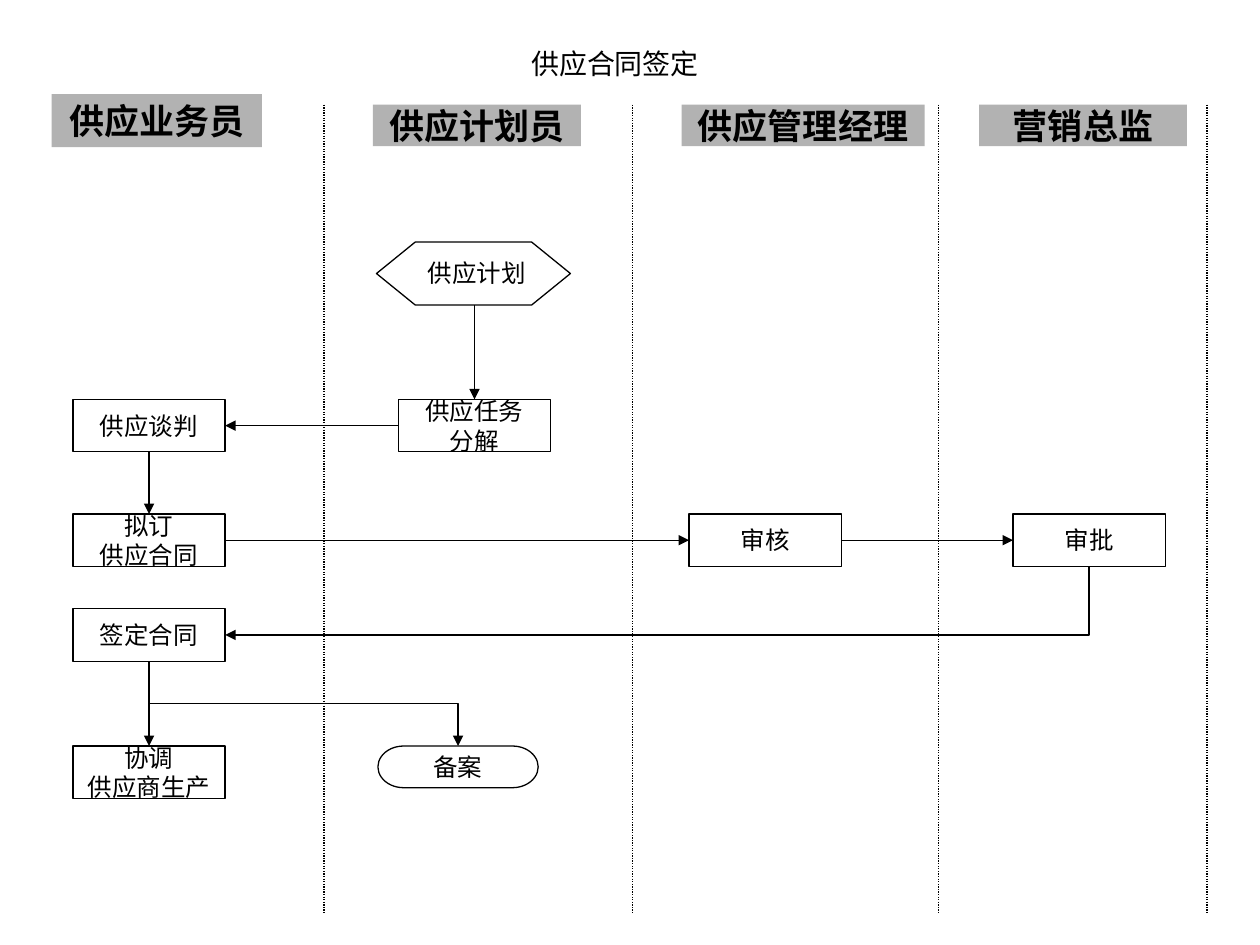
from dataclasses import dataclass

from lxml import etree
from pptx import Presentation
from pptx.dml.color import RGBColor
from pptx.enum.dml import MSO_LINE
from pptx.enum.shapes import MSO_CONNECTOR, MSO_SHAPE
from pptx.enum.text import MSO_ANCHOR, PP_ALIGN
from pptx.oxml.ns import qn
from pptx.util import Cm, Pt

RECTANGLE = MSO_SHAPE.RECTANGLE
PREPARATION = MSO_SHAPE.FLOWCHART_PREPARATION
TERMINATOR = MSO_SHAPE.FLOWCHART_TERMINATOR
STRAIGHT, ELBOW = MSO_CONNECTOR.STRAIGHT, MSO_CONNECTOR.ELBOW
DOTTED = MSO_LINE.ROUND_DOT
CENTER, MIDDLE, TOP = PP_ALIGN.CENTER, MSO_ANCHOR.MIDDLE, MSO_ANCHOR.TOP

BLACK, WHITE, GREY = "000000", "FFFFFF", "B2B2B2"
TITLE_FONT = {"name": "Times New Roman", "size": Pt(16), "bold": False}
HEADER_FONT = {**TITLE_FONT, "size": Pt(20), "bold": True}
STEP_FONT = {**TITLE_FONT, "size": Pt(14)}

STEP_WIDTH, STEP_HEIGHT = 3.07, 1.06
CLERK, PLANNER, MANAGER, DIRECTOR = 1.47, 8.03, 13.89, 20.42
LANE_TOP, LANE_BOTTOM = 2.11, 18.42
DIVIDERS = (6.53, 12.75, 18.92, 24.33)


@dataclass(frozen=True)
class Block:
    text: str
    left: float
    top: float
    width: float = STEP_WIDTH
    height: float = STEP_HEIGHT
    kind: int = RECTANGLE

    @property
    def right(self) -> float:
        return self.left + self.width

    @property
    def bottom(self) -> float:
        return self.top + self.height

    @property
    def center(self) -> float:
        return self.left + self.width / 2

    @property
    def middle(self) -> float:
        return self.top + self.height / 2


HEADERS = (
    Block("供应业务员", 1.04, 1.9, 4.24, 1.07),
    Block("供应计划员", 7.52, LANE_TOP, 4.19, 0.84),
    Block("供应管理经理", 13.74, LANE_TOP, 4.9, 0.84),
    Block("营销总监", 19.74, LANE_TOP, 4.19, 0.84),
)
PLAN = Block("", 7.59, 4.88, 3.91, 1.27, PREPARATION)
TASKS = Block("供应任务\n分解", PLANNER, 8.05)
TALKS = Block("供应谈判", CLERK, 8.05)
DRAFT = Block("拟订\n供应合同", CLERK, 10.36)
REVIEW = Block("审核", MANAGER, 10.36)
APPROVAL = Block("审批", DIRECTOR, 10.36)
SIGNING = Block("签定合同", CLERK, 12.27)
PRODUCTION = Block("协调\n供应商生产", CLERK, 15.04)
ARCHIVE = Block("备案", 7.62, 15.04, 3.23, 0.84, TERMINATOR)
STEPS = (PLAN, TASKS, TALKS, DRAFT, REVIEW, APPROVAL, SIGNING, PRODUCTION, ARCHIVE)

TITLE = Block("供应合同签定", 4.88, 0.43, 15.04, 1.7)
PLAN_LABEL = Block("供应计划", 7.24, 5.08, 4.75, 0.86)


def color(value: str) -> RGBColor:
    return RGBColor.from_string(value)


def write(box, text: str, font: dict, anchor, wrap: bool) -> None:
    frame = box.text_frame
    frame.text = text
    frame.word_wrap = wrap
    frame.vertical_anchor = anchor
    for para in frame.paragraphs:
        para.alignment = CENTER
        for span in para.runs:
            for name, value in font.items():
                setattr(span.font, name, value)
            span.font.color.rgb = color(BLACK)


def draw_label(page, block: Block, font: dict, anchor) -> None:
    box = page.shapes.add_textbox(
        Cm(block.left), Cm(block.top), Cm(block.width), Cm(block.height))
    write(box, block.text, font, anchor, True)


def draw_block(page, block: Block, fill: str, font: dict, outlined: bool) -> None:
    box = page.shapes.add_shape(
        block.kind, Cm(block.left), Cm(block.top), Cm(block.width), Cm(block.height))
    box.shadow.inherit = False
    box.fill.solid()
    box.fill.fore_color.rgb = color(fill)
    if outlined:
        box.line.color.rgb = color(BLACK)
        box.line.width = Pt(0.75)
    else:
        box.line.fill.background()
    if block.text:
        write(box, block.text, font, MIDDLE, False)


def draw_line(page, kind, x1: float, y1: float, x2: float, y2: float, arrow: bool = True):
    line = page.shapes.add_connector(kind, Cm(x1), Cm(y1), Cm(x2), Cm(y2))
    line.line.color.rgb = color(BLACK)
    line.line.width = Pt(0.75)
    if arrow:
        etree.SubElement(line.line._get_or_add_ln(), qn("a:tailEnd"), type="triangle")
    else:
        line.line.dash_style = DOTTED
    etree.SubElement(line._element.spPr, qn("a:effectLst"))
    return line


def draw_falling_elbow(page, x1: float, y1: float, x2: float, y2: float, preset: str) -> None:
    rightward = x2 > x1
    center, middle = (x1 + x2) / 2, (y1 + y2) / 2
    half_width, half_height = (y2 - y1) / 2, abs(x2 - x1) / 2
    start = half_width if rightward else -half_width
    line = draw_line(page, ELBOW, center + start, middle - half_height,
                     center - start, middle + half_height)
    properties = line._element.spPr
    properties.find(qn("a:xfrm")).set("rot", "16200000" if rightward else "5400000")
    properties.find(qn("a:prstGeom")).set("prst", preset)


def draw_down(page, source: Block, target: Block) -> None:
    draw_line(page, STRAIGHT, target.center, source.bottom, target.center, target.top)


def draw_across(page, source: Block, target: Block) -> None:
    if source.left < target.left:
        start, end = source.right, target.left
    else:
        start, end = source.left, target.right
    draw_line(page, STRAIGHT, start, source.middle, end, source.middle)


def main() -> None:
    deck = Presentation()
    deck.slide_width, deck.slide_height = Cm(25.4), Cm(19.05)
    page = deck.slides.add_slide(deck.slide_layouts[6])

    draw_label(page, TITLE, TITLE_FONT, MIDDLE)
    for x in DIVIDERS:
        draw_line(page, STRAIGHT, x, LANE_TOP, x, LANE_BOTTOM, arrow=False)
    for header in HEADERS:
        draw_block(page, header, GREY, HEADER_FONT, False)
    for step in STEPS:
        draw_block(page, step, WHITE, STEP_FONT, True)
    draw_label(page, PLAN_LABEL, STEP_FONT, TOP)

    for source, target in ((PLAN, TASKS), (TALKS, DRAFT), (SIGNING, PRODUCTION)):
        draw_down(page, source, target)
    for source, target in ((TASKS, TALKS), (DRAFT, REVIEW), (REVIEW, APPROVAL)):
        draw_across(page, source, target)
    draw_falling_elbow(page, APPROVAL.center, APPROVAL.bottom,
                       SIGNING.right, SIGNING.middle, "bentConnector2")
    draw_falling_elbow(page, SIGNING.center, SIGNING.bottom,
                       ARCHIVE.center, ARCHIVE.top, "bentConnector3")
    deck.save("out.pptx")


if __name__ == "__main__":
    main()
